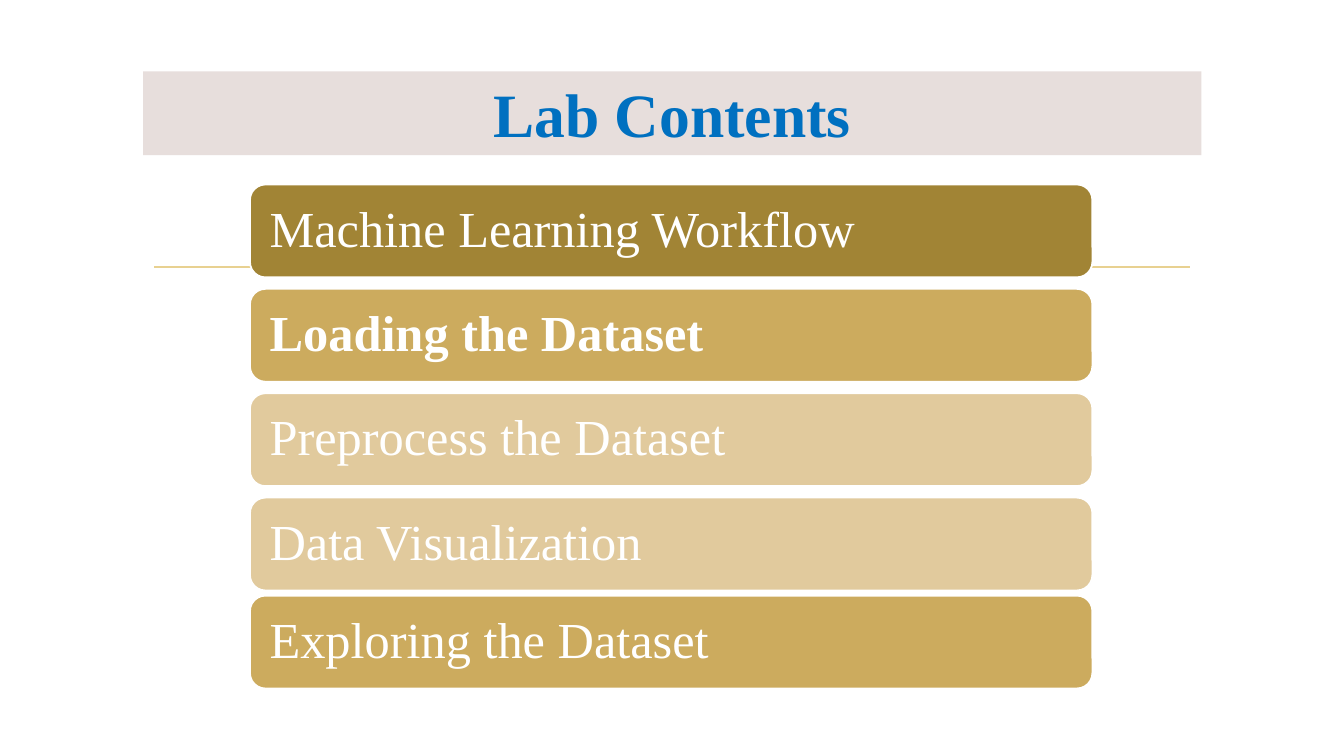
from dataclasses import dataclass

from lxml.etree import SubElement
from pptx import Presentation
from pptx.dml.color import RGBColor as RGB
from pptx.enum.shapes import MSO_CONNECTOR as CONNECTOR, MSO_SHAPE as SHAPE
from pptx.enum.text import MSO_ANCHOR as ANCHOR, PP_ALIGN as ALIGN
from pptx.oxml.ns import qn
from pptx.util import Cm, Pt


@dataclass(frozen=True)
class Theme:
    font: str = "Times New Roman"
    title_size: int = 44
    topic_size: int = 36
    line_width: float = 1.25
    title: RGB = RGB(0x00, 0x70, 0xC0)
    banner: RGB = RGB(0xE7, 0xDE, 0xDC)
    rule: RGB = RGB(0xE8, 0xD1, 0x91)
    white: RGB = RGB(0xFF, 0xFF, 0xFF)
    dark: RGB = RGB(0xA1, 0x84, 0x35)
    gold: RGB = RGB(0xCC, 0xAB, 0x5E)
    pale: RGB = RGB(0xE1, 0xCA, 0x9D)


THEME = Theme()

BAR_TOP, BAR_PITCH = 4.65, 2.63
LAST_BAR_TOP = 15.01

TOPICS = [
    ("Machine Learning Workflow", THEME.dark, False),
    ("Loading the Dataset", THEME.gold, True),
    ("Preprocess the Dataset", THEME.pale, False),
    ("Data Visualization", THEME.pale, False),
    ("Exploring the Dataset", THEME.gold, False),
]


def add_rule(s, left, right, y):
    line = s.shapes.add_connector(
        CONNECTOR.STRAIGHT, Cm(left), Cm(y), Cm(right), Cm(y))
    line.line.color.rgb = THEME.rule
    line.line.width = Pt(THEME.line_width)
    SubElement(line._element.spPr, qn("a:effectLst"))


def add_panel(s, kind, left, top, width, height, fill):
    sp = s.shapes.add_shape(kind, Cm(left), Cm(top), Cm(width), Cm(height))
    sp.shadow.inherit = False
    sp.fill.solid()
    sp.fill.fore_color.rgb = fill
    sp.line.fill.background()
    return sp


def write(sp, text, size, color, bold, align):
    tf = sp.text_frame
    tf.word_wrap = True
    tf.vertical_anchor = ANCHOR.MIDDLE
    p = tf.paragraphs[0]
    p.text = text
    p.alignment = align
    p.font.name = THEME.font
    p.font.size = Pt(size)
    p.font.bold = bold
    p.font.color.rgb = color
    return p


def add_title(s, text):
    sp = add_panel(s, SHAPE.RECTANGLE, 3.61, 1.8, 26.67, 2.11, THEME.banner)
    write(sp, text, THEME.title_size, THEME.title, True, ALIGN.CENTER)


def add_topic(s, top, text, fill, bold):
    sp = add_panel(s, SHAPE.ROUNDED_RECTANGLE, 6.3, top, 21.23, 2.34, fill)
    sp.line.color.rgb = THEME.white
    sp.line.width = Pt(THEME.line_width)
    tf = sp.text_frame
    tf.margin_left = tf.margin_right = Cm(0.38)
    p = write(sp, text, THEME.topic_size, THEME.white, bold, ALIGN.LEFT)
    p.line_spacing = 0.9


def main():
    prs = Presentation()
    prs.slide_width, prs.slide_height = Cm(33.87), Cm(19.05)
    s = prs.slides.add_slide(prs.slide_layouts[6])

    add_rule(s, 3.89, 30, 6.73)
    add_title(s, "Lab Contents")
    tops = [BAR_TOP + i * BAR_PITCH for i in range(len(TOPICS) - 1)]
    for top, topic in zip(tops + [LAST_BAR_TOP], TOPICS):
        add_topic(s, top, *topic)

    prs.save("out.pptx")


if __name__ == "__main__":
    main()
